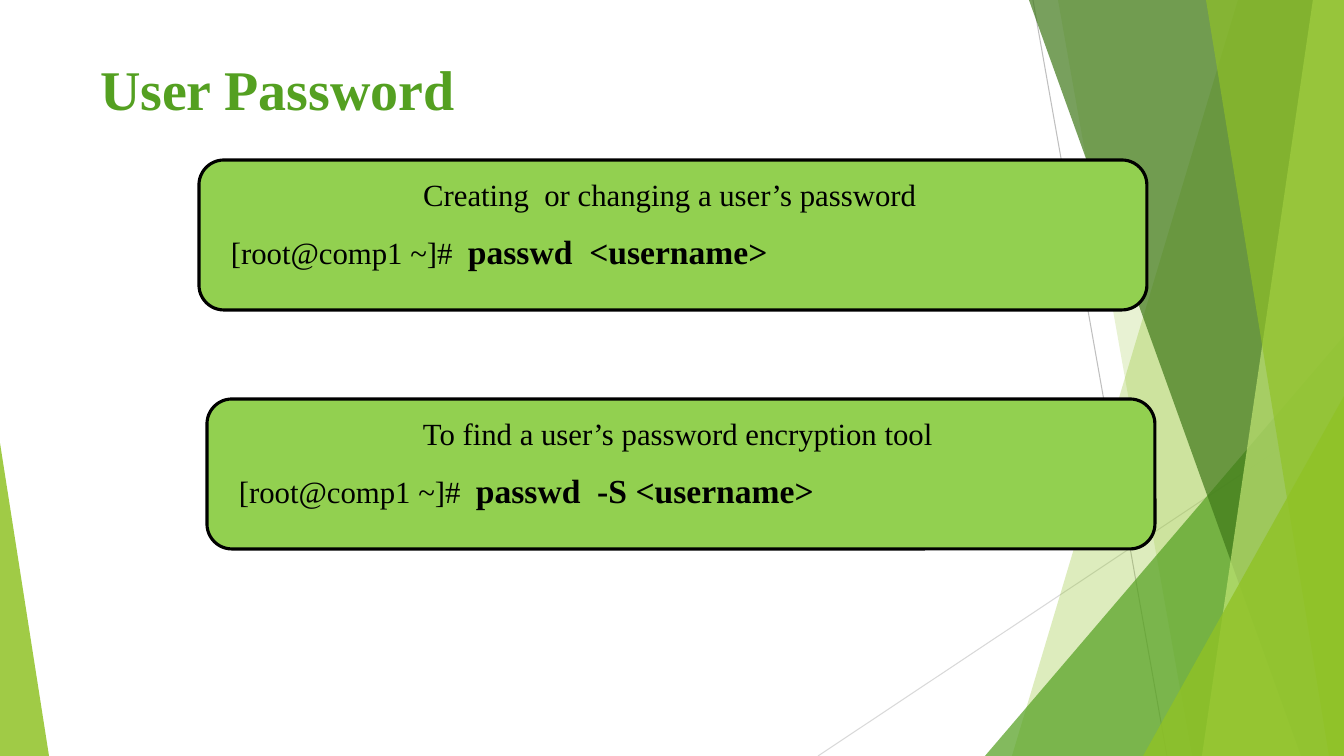
from typing import NamedTuple

from lxml import etree
from pptx import Presentation
from pptx import util as u
from pptx.dml.color import RGBColor
from pptx.enum import shapes, text
from pptx.oxml.ns import qn

WIDTH, HEIGHT = 1344, 756
SCALE = 12192000 / WIDTH
FONT = "Times New Roman"

BLACK = RGBColor(0x00, 0x00, 0x00)
LIGHT_GREY = RGBColor(0xD9, 0xD9, 0xD9)
GREY = RGBColor(0xBF, 0xBF, 0xBF)
LIME = RGBColor(0x90, 0xC2, 0x26)
GREEN = RGBColor(0x54, 0xA0, 0x21)
DARK_GREEN = RGBColor(0x3F, 0x78, 0x19)
PALE_GREEN = RGBColor(0xC0, 0xE4, 0x74)
PANEL_GREEN = RGBColor(0x92, 0xD0, 0x50)


class Ray(NamedTuple):
    start: tuple[int, int]
    end: tuple[int, int]
    color: RGBColor


class Facet(NamedTuple):
    """A full-height band with a slanted left edge, reaching the right side."""
    top_x: int
    bottom_x: int
    color: RGBColor
    opacity: int


class Corner(NamedTuple):
    """A right triangle standing on the bottom edge."""
    left: int
    top: int
    width: int
    apex: int
    color: RGBColor
    opacity: int


class Panel(NamedTuple):
    left: int
    top: int
    heading: str
    command: str


RAYS = [
    Ray((1033, 0), (1167, HEIGHT), GREY),
    Ray((WIDTH, 406), (818, HEIGHT), LIGHT_GREY),
]
DECORATION = [
    Facet(1238, 1012, LIME, 30),
    Facet(1058, 1192, LIME, 20),
    Corner(985, 336, 359, 1, GREEN, 72),
    Facet(1029, 1301, DARK_GREEN, 70),
    Facet(1313, 1202, PALE_GREEN, 70),
    Facet(1206, 1329, LIME, 65),
    Corner(1143, 396, 201, 1, LIME, 80),
    Corner(0, 443, 49, 0, LIME, 85),
]
PANELS = [
    Panel(199, 160, "Creating  or changing a user’s password ", "passwd  <username>"),
    Panel(207, 399, "To find a user’s password encryption tool ", "passwd  -S <username>"),
]


def px(value: int) -> u.Emu:
    return u.Emu(round(value * SCALE))


def paint(shape, color: RGBColor, opacity: int = 100) -> None:
    shape.shadow.inherit = False
    shape.line.fill.background()
    shape.fill.solid()
    shape.fill.fore_color.rgb = color
    if opacity < 100:
        color_node = shape.element.spPr.find(".//" + qn("a:srgbClr"))
        etree.SubElement(color_node, qn("a:alpha"), val=str(opacity * 1000))


def add_span(para, words: str, size: int, color: RGBColor, bold: bool = False) -> None:
    span = para.add_run()
    span.text = words
    for name, value in {"name": FONT, "size": u.Pt(size), "bold": bold}.items():
        setattr(span.font, name, value)
    span.font.color.rgb = color


def add_ray(page, ray: Ray) -> None:
    line = page.shapes.add_connector(
        shapes.MSO_CONNECTOR.STRAIGHT, *map(px, ray.start + ray.end))
    line.line.color.rgb = ray.color
    line.line.width = u.Pt(0.75)
    etree.SubElement(line.element.spPr, qn("a:effectLst"))


def add_facet(page, facet: Facet) -> None:
    outline = page.shapes.build_freeform(facet.top_x, 0, scale=SCALE)
    outline.add_line_segments(
        [(WIDTH, 0), (WIDTH, HEIGHT), (facet.bottom_x, HEIGHT)], close=True)
    paint(outline.convert_to_shape(), facet.color, facet.opacity)


def add_corner(page, corner: Corner) -> None:
    triangle = page.shapes.add_shape(
        shapes.MSO_SHAPE.ISOSCELES_TRIANGLE, px(corner.left), px(corner.top),
        px(corner.width), px(HEIGHT - corner.top))
    triangle.adjustments[0] = corner.apex
    paint(triangle, corner.color, corner.opacity)


def add_row(page, left: int, top: int, width: int, height: int, align):
    """Add a borderless text row and return its paragraph."""
    box = page.shapes.add_shape(
        shapes.MSO_SHAPE.RECTANGLE, px(left), px(top), px(width), px(height))
    paint(box, PANEL_GREEN)
    box.text_frame.word_wrap = True
    box.text_frame.vertical_anchor = text.MSO_ANCHOR.TOP
    para = box.text_frame.paragraphs[0]
    para.alignment = align
    return para


def add_panel(page, panel: Panel) -> None:
    frame = page.shapes.add_shape(
        shapes.MSO_SHAPE.ROUNDED_RECTANGLE, px(panel.left), px(panel.top),
        px(948), px(150))
    paint(frame, PANEL_GREEN)
    frame.line.color.rgb = BLACK
    frame.line.width = u.Pt(2.25)

    heading = add_row(page, panel.left + 20, panel.top + 11, 909, 47,
                      text.PP_ALIGN.CENTER)
    add_span(heading, panel.heading, 22, BLACK)

    command = add_row(page, panel.left + 22, panel.top + 64, 921, 52,
                      text.PP_ALIGN.LEFT)
    command.line_spacing = u.Pt(30)
    add_span(command, "[root@comp1 ~]#  ", 22, BLACK)
    add_span(command, panel.command, 24, BLACK, bold=True)


def set_title(page, words: str) -> None:
    title = page.shapes.title
    place = {"left": 90, "top": 44, "width": 672, "height": 67}
    for name, value in place.items():
        setattr(title, name, px(value))
    frame = title.text_frame
    settings = {"word_wrap": True, "vertical_anchor": text.MSO_ANCHOR.TOP,
                "margin_top": px(11), "margin_bottom": 0}
    for name, value in settings.items():
        setattr(frame, name, value)
    para = frame.paragraphs[0]
    para.alignment = text.PP_ALIGN.LEFT
    add_span(para, words, 40, GREEN, bold=True)


def main() -> None:
    deck = Presentation()
    deck.slide_width, deck.slide_height = px(WIDTH), px(HEIGHT)
    page = deck.slides.add_slide(deck.slide_layouts.get_by_name("Title Only"))
    for ray in RAYS:
        add_ray(page, ray)
    for piece in DECORATION:
        if isinstance(piece, Facet):
            add_facet(page, piece)
        else:
            add_corner(page, piece)
    set_title(page, "User Password")
    for panel in PANELS:
        add_panel(page, panel)
    deck.save("out.pptx")


if __name__ == "__main__":
    main()
